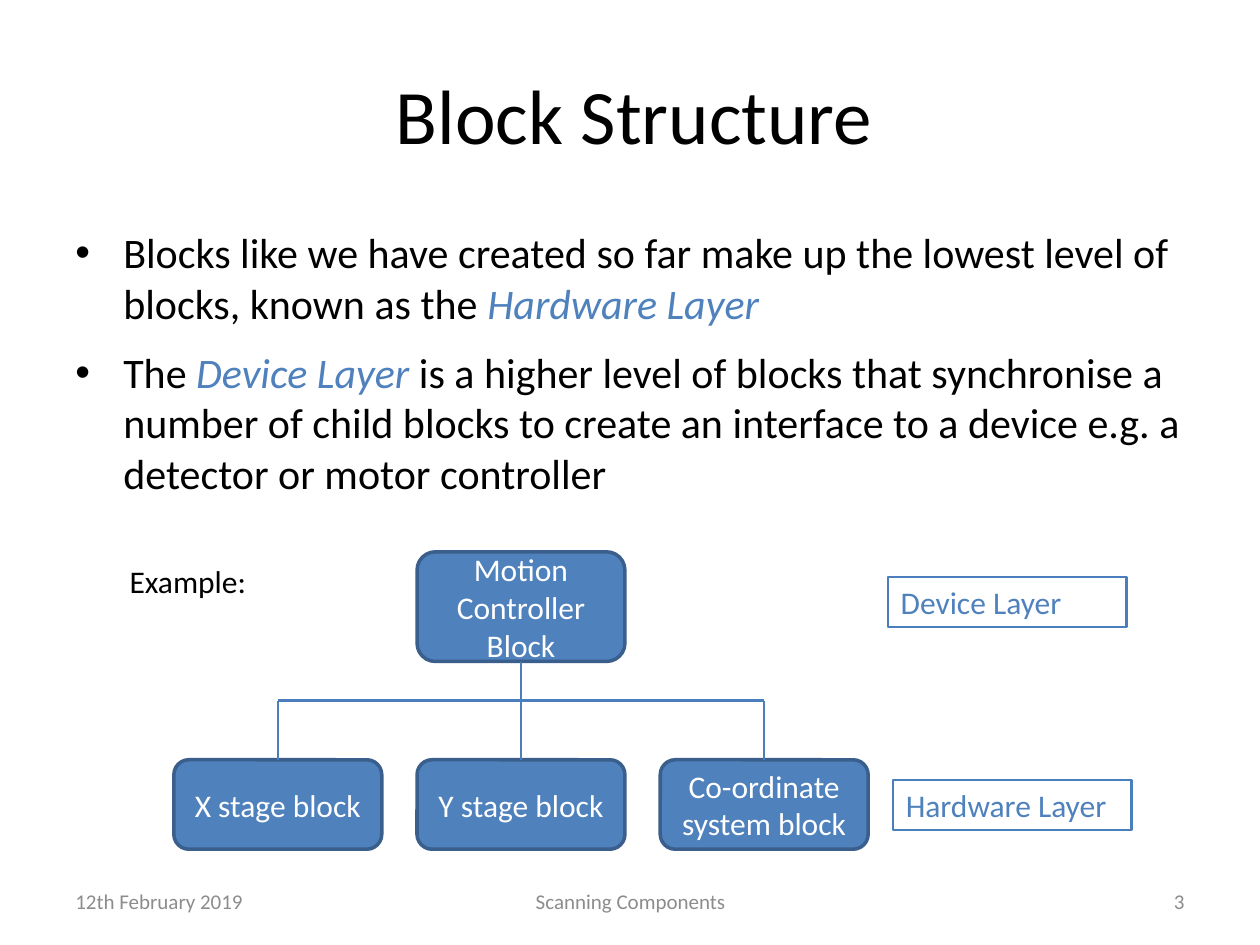
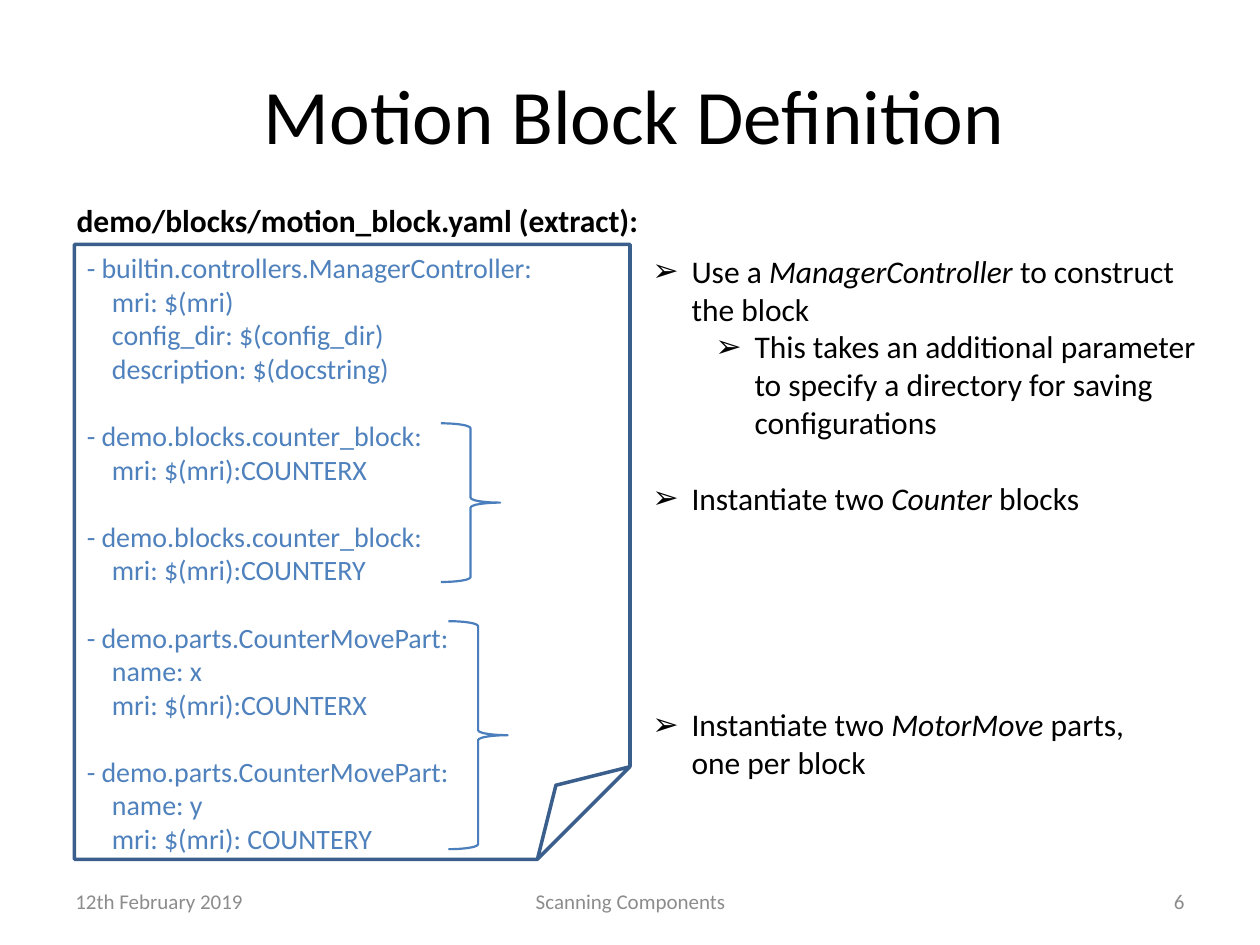
from dataclasses import dataclass
from typing import NamedTuple

from pptx import Presentation
from pptx.dml.color import RGBColor
from pptx.enum.shapes import MSO_CONNECTOR, MSO_SHAPE
from pptx.enum.text import MSO_ANCHOR, PP_ALIGN
from pptx.oxml.ns import qn
from pptx.util import Inches, Pt
from lxml import etree

LEFT, MID, RIGHT = PP_ALIGN.LEFT, PP_ALIGN.CENTER, PP_ALIGN.RIGHT
TOP, CENTRE = MSO_ANCHOR.TOP, MSO_ANCHOR.MIDDLE
RECT, ROUND = MSO_SHAPE.RECTANGLE, MSO_SHAPE.ROUNDED_RECTANGLE
PAGE, BRACE = MSO_SHAPE.FOLDED_CORNER, MSO_SHAPE.RIGHT_BRACE
STRAIGHT = MSO_CONNECTOR.STRAIGHT


@dataclass(frozen=True)
class Theme:
    font: str = "Calibri"
    ink: str = "000000"
    paper: str = "FFFFFF"
    blue: str = "4F81BD"
    edge: str = "3A5F8C"
    rule: str = "4B7EBC"
    grey: str = "8C8C8C"
    head: int = 44
    body: int = 24
    note: int = 18
    code: int = 16
    foot: int = 12
    thick: float = 2
    thin: float = 1.25
    pitch: float = 1.2


class Box(NamedTuple):
    x: float
    y: float
    w: float
    h: float

    @property
    def mid(self) -> float:
        return self.x + self.w / 2

    @property
    def base(self) -> float:
        return self.y + self.h


class Line(NamedTuple):
    text: str
    left: float = 0
    hang: float = 0
    mark: str = ""
    skip: int = 0


class Node(NamedTuple):
    text: str
    box: Box


class Foot(NamedTuple):
    text: str
    box: Box
    align: PP_ALIGN


T = Theme()
HEAD = Box(1.69, 0.28, 6.69, 1.25)


def shade(code: str) -> RGBColor:
    return RGBColor.from_string(code)


def write(shape, lines, *, size=T.note, color=T.ink, accent=None, bold=False,
          align=LEFT, anchor=TOP, before=0, after=0) -> None:
    frame = shape.text_frame
    frame.word_wrap = True
    frame.vertical_anchor = anchor
    if isinstance(lines, str):
        lines = [Line(lines)]
    for i, line in enumerate(lines):
        para = frame.paragraphs[0] if i == 0 else frame.add_paragraph()
        para.alignment = align
        para.space_before = Pt(before + line.skip * size * T.pitch)
        para.space_after = Pt(after)
        props = para._p.get_or_add_pPr()
        props.set("marL", str(Inches(line.left)))
        props.set("indent", str(Inches(-line.hang)))
        if line.mark:
            etree.SubElement(props, qn("a:buFont")).set("typeface", "Arial")
            etree.SubElement(props, qn("a:buChar")).set("char", line.mark)
        for j, part in enumerate(line.text.split("*")):
            for k, piece in enumerate(part.split("\n")):
                if k:
                    para.add_line_break()
                if not piece:
                    continue
                run = para.add_run()
                run.text = piece
                font = run.font
                font.name, font.size, font.bold = T.font, Pt(size), bold
                font.italic = j % 2 == 1
                font.color.rgb = shade(accent if accent and j % 2 else color)


def label(slide, box: Box, lines, **look) -> None:
    write(slide.shapes.add_textbox(*map(Inches, box)), lines, **look)


def draw(slide, kind, box: Box, *, edge=T.rule, width=T.thin, fill=None):
    shape = slide.shapes.add_shape(kind, *map(Inches, box))
    shape.shadow.inherit = False
    if fill:
        shape.fill.solid()
        shape.fill.fore_color.rgb = shade(fill)
    else:
        shape.fill.background()
    shape.line.color.rgb = shade(edge)
    shape.line.width = Pt(width)
    return shape


def link(slide, x1: float, y1: float, x2: float, y2: float) -> None:
    line = slide.shapes.add_connector(STRAIGHT, *map(Inches, (x1, y1, x2, y2)))
    line.line.color.rgb = shade(T.rule)
    line.line.width = Pt(T.thin)
    etree.SubElement(line._element.spPr, qn("a:effectLst"))


def start(deck, title: str, page: int):
    slide = deck.slides.add_slide(deck.slide_layouts[5])
    head = slide.shapes.title
    head.left, head.top, head.width, head.height = map(Inches, HEAD)
    write(head, title, size=T.head, align=MID, anchor=CENTRE)
    feet = [
        Foot("12th February 2019", Box(0.5, 6.95, 2.33, 0.4), LEFT),
        Foot("Scanning Components", Box(3.42, 6.95, 3.17, 0.4), MID),
        Foot(str(page), Box(7.17, 6.95, 2.33, 0.4), RIGHT),
    ]
    for foot in feet:
        label(slide, foot.box, foot.text, size=T.foot, color=T.grey,
              align=foot.align, anchor=CENTRE)
    return slide


def tree(slide, root: Node, kids: list[Node], bar: float) -> None:
    for node in [root, *kids]:
        shape = draw(slide, ROUND, node.box, edge=T.edge, width=T.thick, fill=T.blue)
        write(shape, node.text, color=T.paper, align=MID, anchor=CENTRE)
    link(slide, root.box.mid, root.box.base, root.box.mid, bar)
    link(slide, kids[0].box.mid, bar, kids[-1].box.mid, bar)
    for kid in kids:
        link(slide, kid.box.mid, bar, kid.box.mid, kid.box.y)


def layers(deck) -> None:
    slide = start(deck, "Block Structure", 3)
    points = [
        "Blocks like we have created so far make up the lowest level of blocks, "
        "known as the *Hardware Layer*",
        "The *Device Layer *is a higher level of blocks that synchronise a number "
        "of child blocks to create an interface to a device e.g. a detector or "
        "motor controller",
    ]
    label(slide, Box(0.5, 1.75, 8.99, 2.39),
          [Line(point, 0.38, 0.38, "•") for point in points],
          size=T.body, accent=T.blue, before=T.body * 0.2, after=6)
    names = ["X stage block", "Y stage block", "Co-ordinate system block"]
    kids = [Node(name, Box(1.38 + 1.93 * i, 6.03, 1.65, 0.71))
            for i, name in enumerate(names)]
    root = Node("Motion Controller Block", Box(kids[1].box.x, 4.38, 1.65, 0.87))
    tree(slide, root, kids, 5.56)
    tags = [Node("Device Layer", Box(7.05, 4.58, 1.89, 0.4)),
            Node("Hardware Layer", Box(7.09, 6.19, 1.89, 0.4))]
    for tag in tags:
        write(draw(slide, RECT, tag.box), tag.text, color=T.blue)
    label(slide, Box(0.93, 4.41, 2.36, 0.4), "Example:")


def motion(deck) -> None:
    slide = start(deck, "Motion Block Definition", 6)
    draw(slide, PAGE, Box(0.59, 1.94, 4.41, 4.88), edge=T.edge, width=T.thick)
    parts = [
        ("builtin.controllers.ManagerController:",
         ["mri: $(mri)", "config_dir: $(config_dir)", "description: $(docstring)"]),
        ("demo.blocks.counter_block:", ["mri: $(mri):COUNTERX"]),
        ("demo.blocks.counter_block:", ["mri: $(mri):COUNTERY"]),
        ("demo.parts.CounterMovePart:", ["name: x", "mri: $(mri):COUNTERX"]),
        ("demo.parts.CounterMovePart:", ["name: y", "mri: $(mri): COUNTERY"]),
    ]
    code = []
    for i, (name, fields) in enumerate(parts):
        code.append(Line(f"- {name}", skip=min(i, 1)))
        code += [Line(field, 0.2) for field in fields]
    label(slide, Box(0.59, 1.94, 4.09, 4.98), code, size=T.code, color=T.blue)
    label(slide, Box(0.51, 1.55, 4.96, 0.4),
          "demo/blocks/motion_block.yaml (extract):", bold=True)
    notes = [
        Line("Use a *ManagerController *to construct the block", 0.31, 0.31, "➢"),
        Line("This takes an additional parameter to specify a directory for "
             "saving configurations", 0.81, 0.31, "➢"),
        Line("Instantiate two *Counter* blocks", 0.31, 0.31, "➢", 1),
        Line("Instantiate two *MotorMove* parts,\none per block", 0.31, 0.31, "➢", 5),
    ]
    label(slide, Box(5.08, 1.95, 4.65, 4.34), notes)
    for box in [Box(3.5, 3.36, 0.47, 1.26), Box(3.56, 4.93, 0.47, 1.81)]:
        draw(slide, BRACE, box)


def main() -> None:
    deck = Presentation()
    deck.slide_width, deck.slide_height = Inches(10), Inches(7.5)
    layers(deck)
    motion(deck)
    deck.save("out.pptx")


if __name__ == "__main__":
    main()
